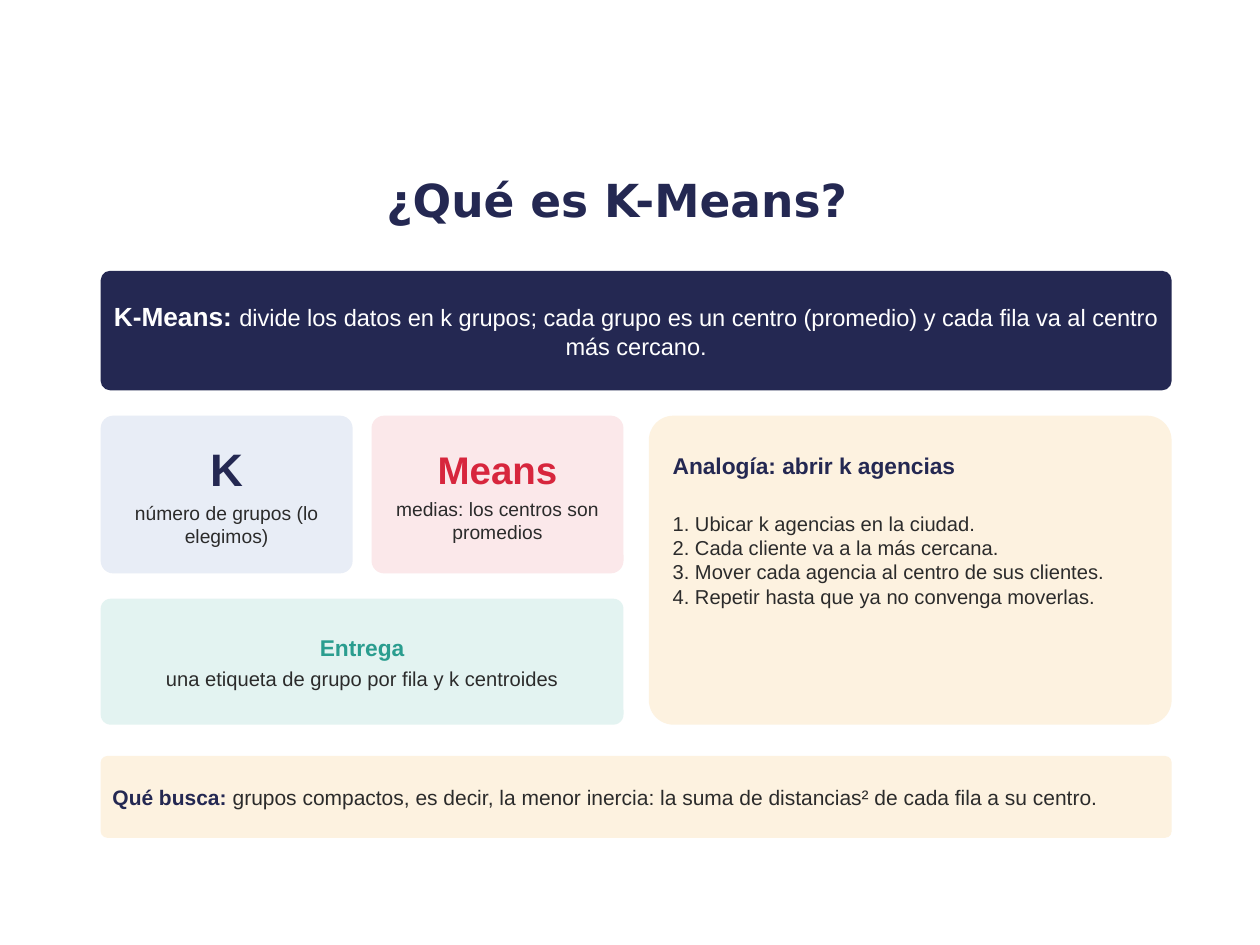
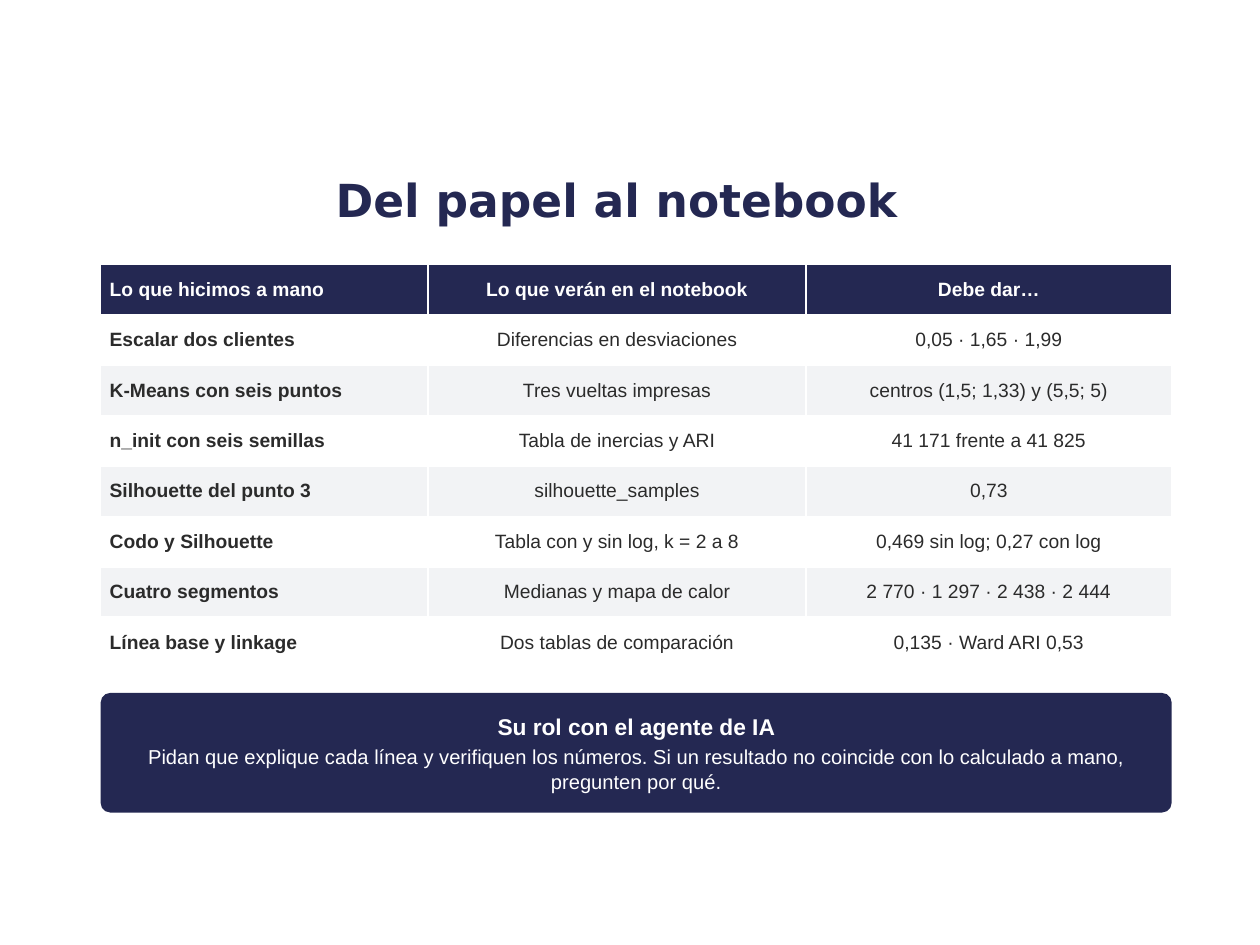
from pptx import Presentation
from pptx.dml.color import RGBColor
from pptx.enum import shapes, text
from pptx.util import Cm, Pt

NAVY = RGBColor(0x24, 0x28, 0x52)
RED = RGBColor(0xD7, 0x26, 0x3D)
TEAL = RGBColor(0x2A, 0x9D, 0x8F)
INK = RGBColor(0x2B, 0x2B, 0x2B)
WHITE = RGBColor(0xFF, 0xFF, 0xFF)
PALE_BLUE = RGBColor(0xE8, 0xED, 0xF6)
PALE_RED = RGBColor(0xFB, 0xE8, 0xEA)
PALE_TEAL = RGBColor(0xE3, 0xF3, 0xF1)
CREAM = RGBColor(0xFD, 0xF2, 0xE0)
STRIPE = RGBColor(0xF2, 0xF3, 0xF5)
BODY_FONT, TITLE_FONT = "Arial", "DejaVu Sans"
LEFT, CENTER = text.PP_ALIGN.LEFT, text.PP_ALIGN.CENTER

# Content: a paragraph is a list of runs (text, size, colour, bold)
DEFINITION = [[
    ("K-Means: ", 15, WHITE, True),
    ("divide los datos en k grupos; cada grupo es un centro (promedio) "
     "y cada fila va al centro más cercano.", 13.5, WHITE, False),
]]
NAME_PARTS = [
    (PALE_BLUE, [[("K", 26, NAVY, True)],
                 [("número de grupos (lo elegimos)", 11, INK, False)]]),
    (PALE_RED, [[("Means", 22, RED, True)],
                [("medias: los centros son promedios", 11, INK, False)]]),
]
OUTPUT = [
    [("Entrega", 13, TEAL, True)],
    [("una etiqueta de grupo por fila y k centroides", 11.5, INK, False)],
]
ANALOGY_HEADING = [[("Analogía: abrir k agencias", 13, NAVY, True)]]
ANALOGY_STEPS = [
    "Ubicar k agencias en la ciudad.",
    "Cada cliente va a la más cercana.",
    "Mover cada agencia al centro de sus clientes.",
    "Repetir hasta que ya no convenga moverlas.",
]
GOAL = [[
    ("Qué busca: ", 12, NAVY, True),
    ("grupos compactos, es decir, la menor inercia: la suma de "
     "distancias² de cada fila a su centro.", 12, INK, False),
]]
NOTEBOOK_ROWS = [
    ("Lo que hicimos a mano", "Lo que verán en el notebook", "Debe dar…"),
    ("Escalar dos clientes", "Diferencias en desviaciones", "0,05 · 1,65 · 1,99"),
    ("K-Means con seis puntos", "Tres vueltas impresas", "centros (1,5; 1,33) y (5,5; 5)"),
    ("n_init con seis semillas", "Tabla de inercias y ARI", "41 171 frente a 41 825"),
    ("Silhouette del punto 3", "silhouette_samples", "0,73"),
    ("Codo y Silhouette", "Tabla con y sin log, k = 2 a 8", "0,469 sin log; 0,27 con log"),
    ("Cuatro segmentos", "Medianas y mapa de calor", "2 770 · 1 297 · 2 438 · 2 444"),
    ("Línea base y linkage", "Dos tablas de comparación", "0,135 · Ward ARI 0,53"),
]
AGENT_ROLE = [
    [("Su rol con el agente de IA", 13, WHITE, True)],
    [("Pidan que explique cada línea y verifiquen los números. Si un resultado "
      "no coincide con lo calculado a mano, pregunten por qué.", 11.5, WHITE, False)],
]

# Shared grid, in centimetres
MARGIN, CONTENT_WIDTH = 2.03, 21.59
GAP, CARD_GAP = 0.51, 0.38
BAND_HEIGHT = 2.41
COLUMN_WIDTH = (CONTENT_WIDTH - GAP) / 2
NOTEBOOK_COLUMNS, ROW_HEIGHT = (6.6, 7.62, 7.37), 1.016


def style_font(font, size, color, bold, name=BODY_FONT):
    font.name, font.size, font.bold = name, Pt(size), bold
    font.color.rgb = color


def write(frame, paragraphs, align, font_name=BODY_FONT, space_after=3):
    for index, runs in enumerate(paragraphs):
        paragraph = frame.paragraphs[0] if index == 0 else frame.add_paragraph()
        paragraph.alignment = align
        paragraph.space_after = Pt(space_after)
        for content, *style in runs:
            run = paragraph.add_run()
            run.text = content
            target = paragraph if len(runs) == 1 else run
            style_font(target.font, *style, name=font_name)


def set_frame(frame, inset, anchor=text.MSO_ANCHOR.MIDDLE):
    frame.word_wrap = True
    frame.vertical_anchor = anchor
    frame.margin_left = frame.margin_right = Cm(inset)
    frame.margin_top = frame.margin_bottom = Cm(inset)
    return frame


def add_card(slide, box, fill, paragraphs=(), align=CENTER):
    card = slide.shapes.add_shape(
        shapes.MSO_SHAPE.ROUNDED_RECTANGLE, *map(Cm, box))
    card.adjustments[0] = 0.08
    card.shadow.inherit = False
    card.fill.solid()
    card.fill.fore_color.rgb = fill
    card.line.fill.background()
    write(set_frame(card.text_frame, 0.2), paragraphs, align)


def add_text(slide, box, paragraphs, align=LEFT,
             anchor=text.MSO_ANCHOR.MIDDLE, font_name=BODY_FONT, space_after=0):
    label = slide.shapes.add_textbox(*map(Cm, box))
    frame = set_frame(label.text_frame, 0.1, anchor)
    write(frame, paragraphs, align, font_name, space_after)


def add_titled_slide(presentation, title):
    slide = presentation.slides.add_slide(presentation.slide_layouts[6])
    add_text(slide, (1.9, 3, 21.08, 2.03), [[(title, 26, NAVY, True)]],
             CENTER, font_name=TITLE_FONT)
    return slide


def build_definition_slide(presentation):
    slide = add_titled_slide(presentation, "¿Qué es K-Means?")
    add_card(slide, (MARGIN, 5.46, CONTENT_WIDTH, BAND_HEIGHT), NAVY, DEFINITION)

    # Left column: the two words of the name, then the output
    top, card_height, output_height = 8.38, 3.18, 2.54
    card_width = (COLUMN_WIDTH - CARD_GAP) / 2
    for index, (fill, paragraphs) in enumerate(NAME_PARTS):
        left = MARGIN + index * (card_width + CARD_GAP)
        add_card(slide, (left, top, card_width, card_height), fill, paragraphs)
    output_top = top + card_height + GAP
    add_card(slide, (MARGIN, output_top, COLUMN_WIDTH, output_height),
             PALE_TEAL, OUTPUT)

    # Right column: analogy panel
    panel_left = MARGIN + COLUMN_WIDTH + GAP
    panel_height = card_height + GAP + output_height
    add_card(slide, (panel_left, top, COLUMN_WIDTH, panel_height), CREAM)
    text_left, text_width = panel_left + 0.38, 9.9
    add_text(slide, (text_left, top + 0.3, text_width, 1.4), ANALOGY_HEADING,
             space_after=4)
    steps = [[(f"{number}. {step}", 11.5, INK, False)]
             for number, step in enumerate(ANALOGY_STEPS, 1)]
    add_text(slide, (text_left, top + 1.83, text_width, 4.19), steps,
             anchor=text.MSO_ANCHOR.TOP)

    add_card(slide, (MARGIN, 15.24, CONTENT_WIDTH, 1.65), CREAM, GOAL, LEFT)


def build_notebook_slide(presentation):
    slide = add_titled_slide(presentation, "Del papel al notebook")

    # Table: navy header, striped body, bold first column
    row_count = len(NOTEBOOK_ROWS)
    table = slide.shapes.add_table(
        row_count, len(NOTEBOOK_COLUMNS), Cm(MARGIN), Cm(5.33),
        Cm(CONTENT_WIDTH), Cm(ROW_HEIGHT * row_count)).table
    for column, width in zip(table.columns, NOTEBOOK_COLUMNS):
        column.width = Cm(width)
    for row_index, values in enumerate(NOTEBOOK_ROWS):
        header = row_index == 0
        fill = NAVY if header else (STRIPE if row_index % 2 == 0 else WHITE)
        for column_index, value in enumerate(values):
            first = column_index == 0
            cell = table.cell(row_index, column_index)
            cell.fill.solid()
            cell.fill.fore_color.rgb = fill
            cell.vertical_anchor = text.MSO_ANCHOR.MIDDLE
            cell.margin_left = cell.margin_right = Cm(0.18)
            cell.margin_top = cell.margin_bottom = Cm(0.08)
            run = (value, 11, WHITE if header else INK, header or first)
            write(cell.text_frame, [[run]], LEFT if first else CENTER,
                  space_after=0)

    add_card(slide, (MARGIN, 13.97, CONTENT_WIDTH, BAND_HEIGHT), NAVY, AGENT_ROLE)


def main():
    presentation = Presentation()
    presentation.slide_width, presentation.slide_height = Cm(25.4), Cm(19.05)
    build_definition_slide(presentation)
    build_notebook_slide(presentation)
    presentation.save("out.pptx")


if __name__ == "__main__":
    main()
